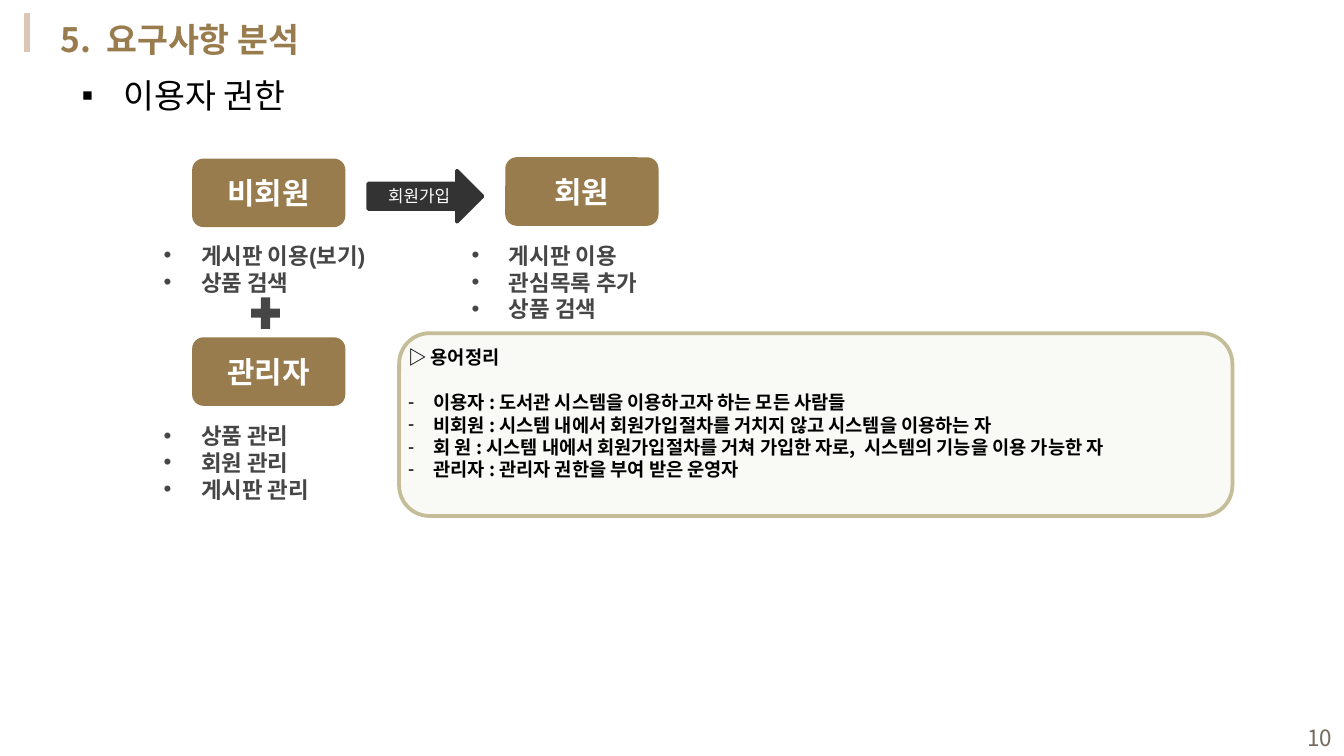
from typing import NamedTuple

from lxml import etree
from pptx import Presentation
from pptx.dml.color import RGBColor
from pptx.enum.shapes import MSO_CONNECTOR, MSO_SHAPE
from pptx.enum.text import MSO_ANCHOR, PP_ALIGN
from pptx.oxml.ns import qn
from pptx.util import Inches, Pt

ROUNDED, ARROW, PLUS = (MSO_SHAPE.ROUNDED_RECTANGLE, MSO_SHAPE.RIGHT_ARROW,
                        MSO_SHAPE.MATH_PLUS)
TOP, MIDDLE = MSO_ANCHOR.TOP, MSO_ANCHOR.MIDDLE
LEFT, CENTER, RIGHT = PP_ALIGN.LEFT, PP_ALIGN.CENTER, PP_ALIGN.RIGHT

CELL = 0.1  # inches per grid column and row
SLIDE_COLUMNS, SLIDE_ROWS = 100, 56.25
KOREAN, LATIN = "Noto Sans CJK KR", "Arial"
BROWN, GRAY, DARK, WHITE, BLACK = "987C4D", "464646", "333333", "FFFFFF", "000000"
LINE_HEIGHT = 1.2


class Area(NamedTuple):
    """Left, top, width and height in grid cells."""
    column: float
    row: float
    columns: float
    rows: float


class Bullet(NamedTuple):
    mark: str
    margin: float
    hanging: float


class Role(NamedTuple):
    name: str
    plate: Area
    permissions: list[str]
    permission_area: Area


DOT = Bullet("•", 3.2, 2.4)
SQUARE = Bullet("▪", 3.1, 3.1)
DASH = Bullet("-", 1.9, 1.9)

ROLES = [
    Role("비회원", Area(14.3, 11.8, 11.4, 5.1),
         ["게시판 이용(보기)", "상품 검색"], Area(10.4, 17.5, 20.7, 5)),
    Role("회원", Area(37.6, 11.7, 11.4, 5.1),
         ["게시판 이용", "관심목록 추가", "상품 검색"], Area(33.3, 17.5, 17.1, 7.1)),
    Role("관리자", Area(14.3, 25.1, 11.4, 5.1),
         ["상품 관리", "회원 관리", "게시판 관리"], Area(10.4, 30.9, 15.6, 7.1)),
]
TERMS = [
    "이용자 : 도서관 시스템을 이용하고자 하는 모든 사람들",
    "비회원 : 시스템 내에서 회원가입절차를 거치지 않고 시스템을 이용하는 자",
    "회 원 : 시스템 내에서 회원가입절차를 거쳐 가입한 자로,  시스템의 기능을 이용 가능한 자",
    "관리자 : 관리자 권한을 부여 받은 운영자",
]


def cells(count: float) -> int:
    return Inches(count * CELL)


def color(value: str) -> RGBColor:
    return RGBColor.from_string(value)


def box(area: Area) -> list[int]:
    return [cells(length) for length in area]


def add_bullet(paragraph, bullet: Bullet) -> None:
    properties = paragraph._p.get_or_add_pPr()
    properties.set("marL", str(cells(bullet.margin)))
    properties.set("indent", str(-cells(bullet.hanging)))
    etree.SubElement(properties, qn("a:buFont")).set("typeface", LATIN)
    etree.SubElement(properties, qn("a:buChar")).set("char", bullet.mark)


def write(shape, lines: list[str], *, size: float, fill: str, font: str = KOREAN,
          bold: bool = False, align=LEFT, anchor=TOP, wrap: bool = True,
          inset: tuple | None = None, bullet: Bullet | None = None,
          heading: str | None = None) -> None:
    """Fill a shape with paragraphs; a heading comes first, one line apart."""
    frame = shape.text_frame
    frame.word_wrap = wrap
    frame.vertical_anchor = anchor
    if inset is not None:
        (frame.margin_left, frame.margin_top,
         frame.margin_right, frame.margin_bottom) = map(cells, inset)
    texts = lines if heading is None else [heading, *lines]
    for index, text in enumerate(texts):
        paragraph = frame.paragraphs[0] if index == 0 else frame.add_paragraph()
        paragraph.alignment = align
        paragraph.line_spacing = Pt(size * LINE_HEIGHT)
        is_heading = heading is not None and index == 0
        if is_heading:
            paragraph.space_after = Pt(size * LINE_HEIGHT)
        elif bullet:
            add_bullet(paragraph, bullet)
        run = paragraph.add_run()
        run.text = text
        run.font.size = Pt(size)
        run.font.bold = bold
        run.font.name = font
        run.font.color.rgb = color(fill)
        east_asian = etree.SubElement(run._r.get_or_add_rPr(), qn("a:ea"))
        east_asian.set("typeface", KOREAN)


def add_text(slide, area: Area, lines: list[str], **text_format) -> None:
    write(slide.shapes.add_textbox(*box(area)), lines, **text_format)


def add_block(slide, kind, area: Area, fill: str, line: str | None = None,
              opacity: int | None = None):
    shape = slide.shapes.add_shape(kind, *box(area))
    shape.shadow.inherit = False
    shape.fill.solid()
    shape.fill.fore_color.rgb = color(fill)
    if opacity is not None:
        solid_color = shape._element.spPr.find(qn("a:solidFill"))[0]
        etree.SubElement(solid_color, qn("a:alpha")).set("val", str(opacity * 1000))
    if line:
        shape.line.color.rgb = color(line)
        shape.line.width = Pt(2)
    else:
        shape.line.fill.background()
    return shape


def add_title_bar(slide) -> None:
    bar = slide.shapes.add_connector(MSO_CONNECTOR.STRAIGHT,
                                     cells(2), cells(1), cells(2), cells(3.9))
    bar.line.color.rgb = color("D9C6B7")
    bar.line.width = Pt(3)
    etree.SubElement(bar._element.spPr, qn("a:effectLst"))


def add_role(slide, role: Role) -> None:
    """Draw the name plate of a role with its permissions beneath it."""
    plate = add_block(slide, ROUNDED, role.plate, BROWN)
    write(plate, [role.name], size=16, fill=WHITE, bold=True,
          align=CENTER, anchor=MIDDLE)
    add_text(slide, role.permission_area,
             [f" {permission}" for permission in role.permissions],
             size=12, fill=GRAY, font=LATIN, bold=True, bullet=DOT)


def add_glossary(slide) -> None:
    panel = add_block(slide, ROUNDED, Area(29.7, 24.8, 62, 13.6), "EEECE1",
                      line="C4BD97", opacity=30)
    write(panel, TERMS, heading="▷ 용어정리", size=10, fill=BLACK, bold=True,
          anchor=MIDDLE, inset=(0, 0, 0, 1.67), bullet=DASH)


def main() -> None:
    presentation = Presentation()
    presentation.slide_width = cells(SLIDE_COLUMNS)
    presentation.slide_height = cells(SLIDE_ROWS)
    slide = presentation.slides.add_slide(presentation.slide_layouts[6])

    add_title_bar(slide)
    for role in ROLES:
        add_role(slide, role)
    sign_up = add_block(slide, ARROW, Area(27.4, 12.7, 8.5, 3.8), DARK, line=DARK)
    write(sign_up, ["회원가입"], size=9, fill=WHITE, align=CENTER, anchor=MIDDLE,
          wrap=False, inset=(0, 0, 0, 0))
    add_block(slide, PLUS, Area(18.3, 21.7, 2.9, 3.2), GRAY)
    add_text(slide, Area(76.8, 53.4, 23.3, 3), ["10"], size=12, fill="756B5F",
             align=RIGHT, anchor=MIDDLE)
    add_text(slide, Area(3.5, 0.9, 24.4, 4), ["5.  요구사항 분석"], size=18,
             fill=BROWN, bold=True)
    add_text(slide, Area(5.1, 5.1, 17.4, 4), ["이용자 권한"], size=18, fill=BLACK,
             wrap=False, bullet=SQUARE)
    add_glossary(slide)
    presentation.save("out.pptx")


if __name__ == "__main__":
    main()
